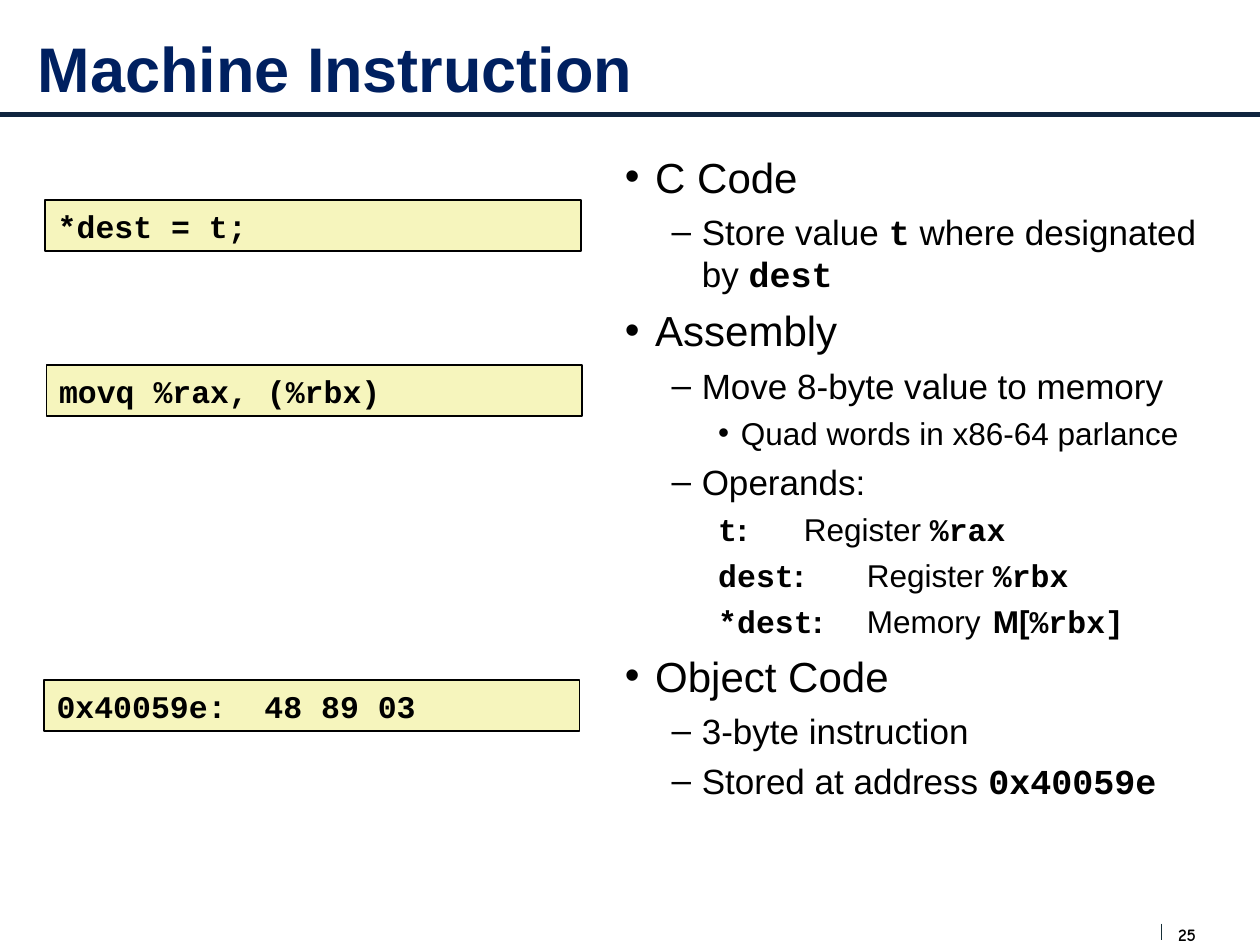
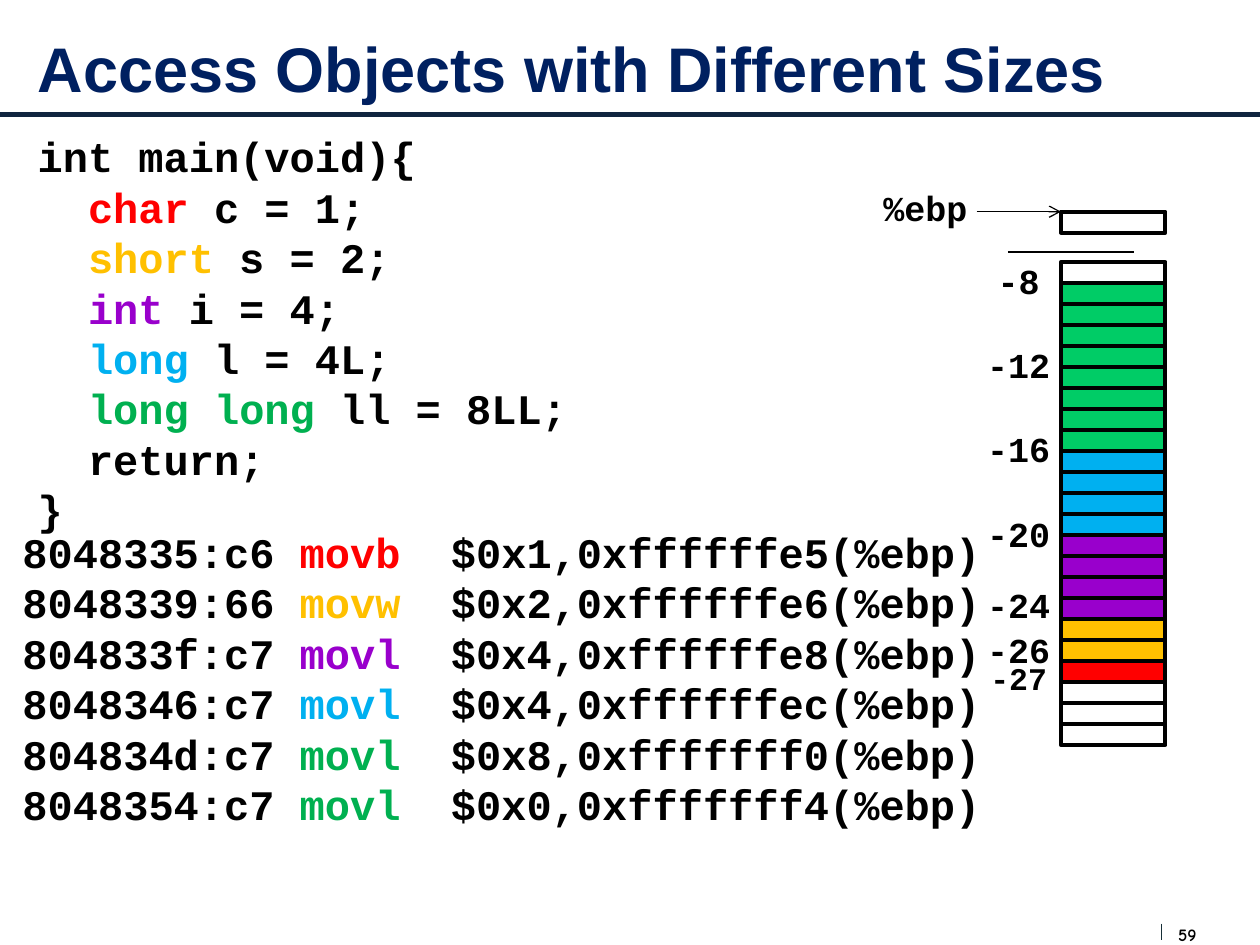
from dataclasses import dataclass
from itertools import chain, repeat
from typing import NamedTuple, Optional

from lxml import etree
from pptx import Presentation
from pptx.dml.color import RGBColor
from pptx.enum import shapes, text
from pptx.oxml import ns
from pptx.util import Inches, Pt

# Shared style
SANS, MONO, PAGE_FONT = "Arial", "Courier New", "Comic Neue"
BLACK, WHITE, NAVY = "000000", "FFFFFF", "002060"
RULE, PAGE_RULE, CODE_FILL = "10253F", "172F37", "F6F5BD"
RED, AMBER, PURPLE, BLUE, GREEN = "FF0000", "FFC000", "9900CC", "00B0F0", "00B050"
CELL_GREEN = "00CC66"


class Box(NamedTuple):
    left: float
    top: float
    width: float
    height: float

    def lengths(self) -> list:
        return [Inches(value) for value in self]


class Run(NamedTuple):
    text: str
    color: Optional[str] = None
    font: Optional[str] = None
    bold: Optional[bool] = None


class Level(NamedTuple):
    size: int
    before: float
    margin: float
    hanging: float
    bullet: str


@dataclass
class Item:
    level: int
    runs: list
    tabs: tuple = ()


LEVELS = [Level(24, 6, 0.24, 0.24, "•"), Level(20, 5, 0.61, 0.24, "–"),
          Level(18, 4.5, 0.92, 0.18, "•")]


def rgb(color: str) -> RGBColor:
    return RGBColor.from_string(color)


def code(words: str) -> Run:
    return Run(words, font=MONO, bold=True)


def set_font(font, name: str, size: float, color: str = BLACK, bold: bool = True) -> None:
    font.name, font.size, font.bold = name, Pt(size), bold
    font.color.rgb = rgb(color)


def add_runs(paragraph, runs: list) -> None:
    for part in runs:
        run = paragraph.add_run()
        run.text = part.text
        if part.color:
            run.font.color.rgb = rgb(part.color)
        if part.font:
            run.font.name = part.font
        if part.bold is not None:
            run.font.bold = part.bold


def add_child(parent, tag: str, **attributes: str):
    return etree.SubElement(parent, ns.qn(tag), **attributes)


def add_line(slide, start: tuple, end: tuple, color: str, width: float, arrow: bool = False) -> None:
    points = [Inches(value) for value in start + end]
    line = slide.shapes.add_connector(shapes.MSO_CONNECTOR.STRAIGHT, *points)
    line.line.color.rgb, line.line.width = rgb(color), Pt(width)
    if arrow:
        add_child(line.line._get_or_add_ln(), "a:tailEnd", type="arrow")
    add_child(line._element.spPr, "a:effectLst")


def add_rectangle(slide, box: Box, fill: str, width: float):
    shape = slide.shapes.add_shape(shapes.MSO_SHAPE.RECTANGLE, *box.lengths())
    shape.shadow.inherit = False
    shape.fill.solid()
    shape.fill.fore_color.rgb = rgb(fill)
    shape.line.color.rgb, shape.line.width = rgb(BLACK), Pt(width)
    return shape


def write_lines(frame, lines: list, size: float, align=text.PP_ALIGN.LEFT, font: str = MONO) -> None:
    frame.word_wrap = True
    for index, runs in enumerate(lines):
        paragraph = frame.paragraphs[0] if index == 0 else frame.add_paragraph()
        paragraph.alignment = align
        set_font(paragraph.font, font, size)
        add_runs(paragraph, runs)


def add_text(slide, box: Box, lines: list, size: float, **style):
    frame = slide.shapes.add_textbox(*box.lengths()).text_frame
    write_lines(frame, lines, size, **style)
    return frame


def place(shape, box: Box) -> None:
    shape.left, shape.top, shape.width, shape.height = box.lengths()


def add_slide(presentation, layout: int, title: str, number: int):
    """Slide with the title, the rule below it and the page number."""
    slide = presentation.slides.add_slide(presentation.slide_layouts[layout])
    add_line(slide, (0, 0.91), (10, 0.91), RULE, 3)
    page = add_text(slide, Box(9.35, 7.33, 0.34, 0.17), [[Run(str(number))]], 10, font=PAGE_FONT)
    page.margin_left = page.margin_top = page.margin_right = page.margin_bottom = 0
    add_line(slide, (9.22, 7.33), (9.22, 7.46), PAGE_RULE, 0.75)
    place(slide.shapes.title, Box(0.2, 0, 9.53, 1.07))
    frame = slide.shapes.title.text_frame
    frame.text = title
    frame.vertical_anchor = text.MSO_ANCHOR.MIDDLE
    frame.auto_size = text.MSO_AUTO_SIZE.NONE
    frame.paragraphs[0].alignment = text.PP_ALIGN.LEFT
    set_font(frame.paragraphs[0].font, SANS, 36, NAVY)
    return slide


def add_list(slide, box: Box, items: list) -> None:
    body = slide.placeholders[1]
    place(body, box)
    frame = body.text_frame
    frame.auto_size = text.MSO_AUTO_SIZE.NONE
    for index, item in enumerate(items):
        paragraph = frame.paragraphs[0] if index == 0 else frame.add_paragraph()
        level = LEVELS[item.level]
        paragraph.level = item.level
        paragraph.space_before = Pt(level.before if index else 0)
        properties = paragraph._p.get_or_add_pPr()
        properties.set("marL", str(Inches(level.margin)))
        properties.set("indent", str(-Inches(level.hanging)))
        if item.tabs:
            add_child(properties, "a:buNone")
            stops = add_child(properties, "a:tabLst")
            for stop in item.tabs:
                add_child(stops, "a:tab", pos=str(Inches(stop)), algn="l")
        else:
            add_child(properties, "a:buChar", char=level.bullet)
        set_font(paragraph.font, SANS, level.size, bold=False)
        add_runs(paragraph, item.runs)


# Slide: machine instruction
def operand(name: str, place_kind: str, value: list) -> Item:
    runs = [code(name), Run(":\t", bold=True), Run(place_kind + "\t"), *value]
    return Item(2, runs, (0, 1.75, 2.75))


INSTRUCTION_ITEMS = [
    Item(0, [Run("C Code")]),
    Item(1, [Run("Store value "), code("t"), Run(" where designated by "), code("dest")]),
    Item(0, [Run("Assembly")]),
    Item(1, [Run("Move 8-byte value to memory")]),
    Item(2, [Run("Quad words in x86-64 parlance")]),
    Item(1, [Run("Operands:")]),
    operand("t", "Register", [code("%rax")]),
    operand("dest", "Register", [code("%rbx")]),
    operand("*dest", "Memory", [Run("M[", bold=True), code("%rbx]")]),
    Item(0, [Run("Object Code")]),
    Item(1, [Run("3-byte instruction")]),
    Item(1, [Run("Stored at address "), code("0x40059e")]),
]
CODE_BOXES = [(0.36, 1.59, "*dest = t;"), (0.37, 2.9, "movq %rax, (%rbx)"),
              (0.35, 5.4, "0x40059e:  48 89 03")]


def build_instruction(presentation) -> None:
    slide = add_slide(presentation, 1, "Machine Instruction", 25)
    add_list(slide, Box(4.86, 1.15, 5, 6.33), INSTRUCTION_ITEMS)
    for left, top, words in CODE_BOXES:
        shape = add_rectangle(slide, Box(left, top, 4.25, 0.4), CODE_FILL, 1)
        write_lines(shape.text_frame, [[Run(words)]], 18)


# Slide: objects with different sizes
DECLARATIONS = [("char", RED, "c = 1;"), ("short", AMBER, "s = 2;"), ("int", PURPLE, "i = 4;"),
                ("long", BLUE, "l = 4L;"), ("long long", GREEN, "ll = 8LL;")]
MOVES = [("8048335:c6", "movb", RED, "$0x1,0xffffffe5(%ebp)"),
         ("8048339:66", "movw", AMBER, "$0x2,0xffffffe6(%ebp)"),
         ("804833f:c7", "movl", PURPLE, "$0x4,0xffffffe8(%ebp)"),
         ("8048346:c7", "movl", BLUE, "$0x4,0xffffffec(%ebp)"),
         ("804834d:c7", "movl", GREEN, "$0x8,0xfffffff0(%ebp)"),
         ("8048354:c7", "movl", GREEN, "$0x0,0xfffffff4(%ebp)")]
STACK_BYTES = [(WHITE, 1), (CELL_GREEN, 8), (BLUE, 4), (PURPLE, 4), (AMBER, 2), (RED, 1), (WHITE, 3)]
OFFSETS = [("-8", 2.01, 20), ("-12", 2.68, 20), ("-16", 3.34, 20), ("-20", 4.02, 20),
           ("-24", 4.58, 20), ("-26", 4.94, 20), ("-27", 5.18, 18)]
CELL_LEFT, CELL_WIDTH, CELL_HEIGHT = 8.42, 0.83, 1 / 6
STACK_TOP, EBP_TOP = 2.08, 1.68
# Cubic curves of the break mark: two control points and an end point each
BREAK_START = (8.45, 1.98)
BREAK_CURVES = [
    ((8.45, 1.98), (8.53, 1.89), (8.55, 1.89)), ((8.57, 1.9), (8.6, 2.01), (8.6, 2.03)),
    ((8.63, 2.01), (8.67, 1.96), (8.72, 1.96)), ((8.75, 1.96), (8.78, 1.97), (8.82, 1.98)),
    ((8.83, 1.96), (8.84, 1.94), (8.85, 1.93)), ((8.89, 1.89), (8.92, 1.89), (8.97, 1.88)),
    ((8.98, 1.9), (8.98, 1.94), (9, 1.94)), ((9.02, 1.95), (9, 1.9), (9.02, 1.89)),
    ((9.04, 1.89), (9.05, 1.92), (9.07, 1.93)), ((9.08, 1.94), (9.1, 1.94), (9.12, 1.94)),
    ((9.21, 1.92), (9.18, 1.94), (9.23, 1.91)),
]


def curve_points(start: tuple, curves: list, steps: int = 8) -> list:
    points = []
    for first, second, end in curves:
        for step in range(1, steps + 1):
            t = step / steps
            weights = ((1 - t) ** 3, 3 * t * (1 - t) ** 2, 3 * t * t * (1 - t), t ** 3)
            points.append(tuple(sum(w * p[axis] for w, p in zip(weights, (start, first, second, end)))
                                for axis in (0, 1)))
        start = end
    return points


def add_break_mark(slide) -> None:
    builder = slide.shapes.build_freeform(*BREAK_START, scale=Inches(1))
    builder.add_line_segments(curve_points(BREAK_START, BREAK_CURVES), close=False)
    mark = builder.convert_to_shape()
    mark.shadow.inherit = False
    mark.fill.background()
    mark.line.color.rgb, mark.line.width = rgb(BLACK), Pt(0.75)


def add_cell(slide, top: float, fill: str) -> None:
    add_rectangle(slide, Box(CELL_LEFT, top, CELL_WIDTH, CELL_HEIGHT), fill, 2.25)


def build_sizes(presentation) -> None:
    slide = add_slide(presentation, 5, "Access Objects with Different Sizes", 59)
    # Source code and its machine code
    body = [[Run("  "), Run(kind + " ", color), Run(rest)] for kind, color, rest in DECLARATIONS]
    source = [[Run("int main(void){")], *body, [Run("  return;")], [Run("}")]]
    add_text(slide, Box(0.2, 0.99, 8.42, 3.3), source, 24)
    moves = [[Run(address + " "), Run(name, color), Run("  " + operands)]
             for address, name, color, operands in MOVES]
    add_text(slide, Box(0.08, 4.13, 7.92, 2.5), moves, 24)
    # Stack bytes with their offsets
    fills = chain.from_iterable(repeat(color, count) for color, count in STACK_BYTES)
    for index, fill in enumerate(fills):
        add_cell(slide, STACK_TOP + index * CELL_HEIGHT, fill)
    for offset, top, size in OFFSETS:
        add_text(slide, Box(7.17, top, 1.83, 0.44), [[Run(offset)]], size, align=text.PP_ALIGN.CENTER)
    # Frame pointer
    add_text(slide, Box(6.83, 1.43, 1.03, 0.44), [[Run("%ebp")]], 20, align=text.PP_ALIGN.CENTER)
    add_break_mark(slide)
    add_cell(slide, EBP_TOP, WHITE)
    add_line(slide, (7.75, EBP_TOP), (CELL_LEFT, EBP_TOP), BLACK, 0.75, arrow=True)


def main() -> None:
    presentation = Presentation()
    presentation.slide_width, presentation.slide_height = Inches(10), Inches(7.5)
    build_instruction(presentation)
    build_sizes(presentation)
    presentation.save("out.pptx")


if __name__ == "__main__":
    main()
